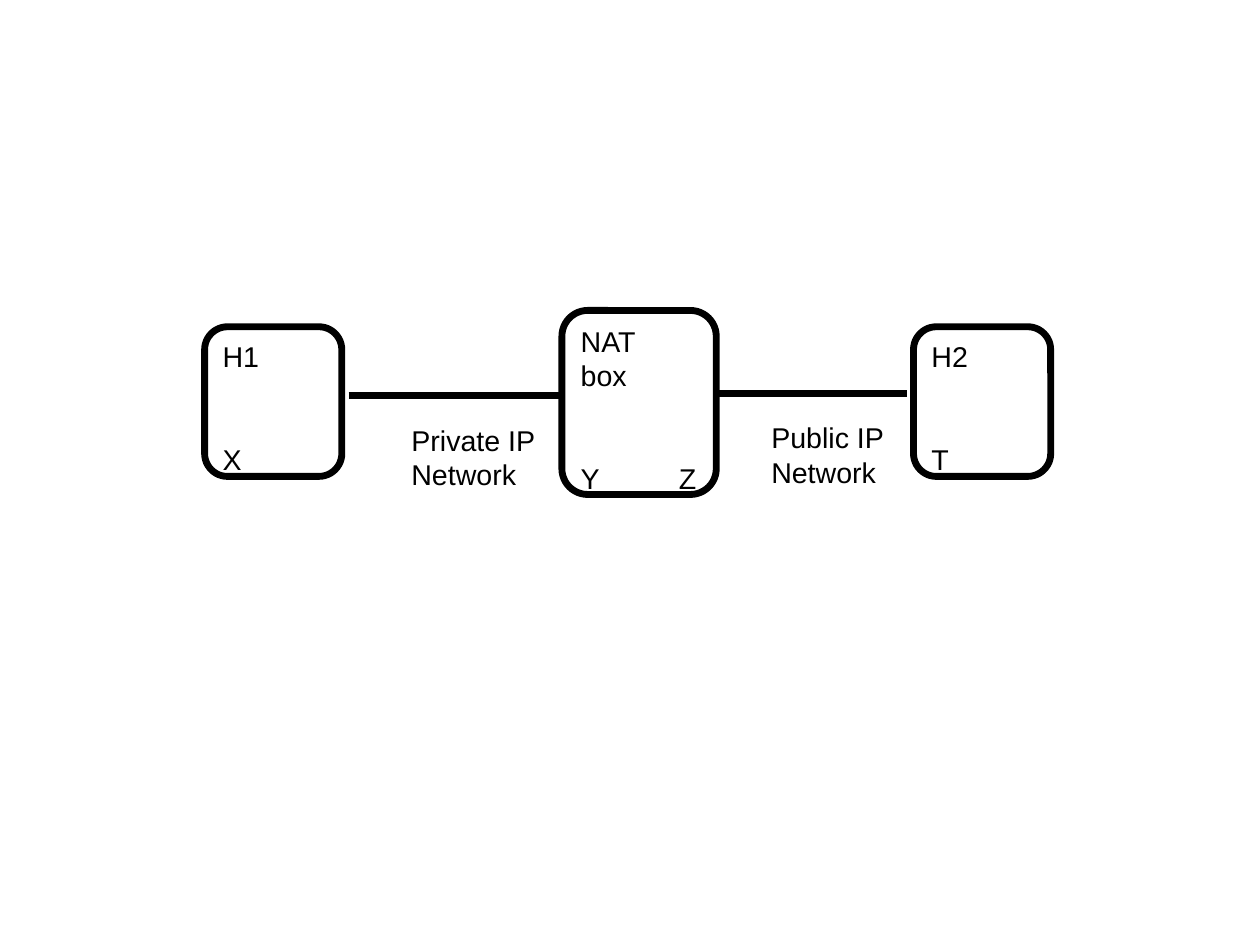
from lxml.etree import SubElement
from pptx import Presentation
from pptx.dml.color import RGBColor
from pptx.enum.shapes import MSO_CONNECTOR, MSO_SHAPE
from pptx.enum.text import MSO_ANCHOR, MSO_AUTO_SIZE, PP_ALIGN
from pptx.oxml.ns import qn
from pptx.util import Cm, Inches, Pt

BLACK = RGBColor(0, 0, 0)
WHITE = RGBColor(255, 255, 255)
FONT = "Arial"
SIZE = Pt(18)
STROKE = Pt(4.31)
DROP = Pt(43.2)
TAB = Inches(0.86)


def write(frame, text, drop=0, tab=None, wrap=True, fit=MSO_AUTO_SIZE.NONE):
    frame.word_wrap = wrap
    frame.auto_size = fit
    frame.vertical_anchor = MSO_ANCHOR.TOP
    lines = text.split("\n")
    for num, line in enumerate(lines):
        para = frame.paragraphs[0] if num == 0 else frame.add_paragraph()
        para.alignment = PP_ALIGN.LEFT
        if drop and num == len(lines) - 1:
            para.space_before = drop
        if tab and "\t" in line:
            stops = SubElement(para._p.get_or_add_pPr(), qn("a:tabLst"))
            SubElement(stops, qn("a:tab"), pos=str(tab), algn="l")
        run = para.add_run()
        run.text = line
        run.font.name = FONT
        run.font.size = SIZE
        run.font.color.rgb = BLACK


class Board:
    def __init__(self, deck):
        self.col = deck.slide_width / 100
        self.row = deck.slide_height / 100
        self.slide = deck.slides.add_slide(deck.slide_layouts[6])

    def place(self, left, top, width, height):
        return (round(left * self.col), round(top * self.row),
                round(width * self.col), round(height * self.row))

    def node(self, text, *area):
        shape = self.slide.shapes.add_shape(
            MSO_SHAPE.ROUNDED_RECTANGLE, *self.place(*area))
        shape.shadow.inherit = False
        shape.fill.solid()
        shape.fill.fore_color.rgb = WHITE
        shape.line.color.rgb = BLACK
        shape.line.width = STROKE
        write(shape.text_frame, text, drop=DROP, tab=TAB)

    def link(self, start, end, level):
        line = self.slide.shapes.add_connector(
            MSO_CONNECTOR.STRAIGHT, *self.place(start, level, end, level))
        line.line.color.rgb = BLACK
        line.line.width = STROKE
        SubElement(line._element.spPr, qn("a:effectLst"))

    def label(self, text, *area):
        box = self.slide.shapes.add_textbox(*self.place(*area))
        write(box.text_frame, text, wrap=False,
              fit=MSO_AUTO_SIZE.SHAPE_TO_FIT_TEXT)


def main():
    deck = Presentation()
    deck.slide_width = Cm(28)
    deck.slide_height = Cm(21)
    board = Board(deck)

    for text, left in (("H1\nX", 16.24), ("H2\nT", 72.5)):
        board.node(text, left, 34.58, 10.89, 15.84)
    board.node("NAT\nbox\nY\tZ", 44.6, 32.85, 12.25, 19.47)

    board.link(27.68, 44.74, 41.84)
    board.link(56.72, 71.96, 41.6)

    board.label("Private IP\nNetwork", 31.76, 44.14, 11.62, 11.37)
    board.label("Public IP\nNetwork", 60.32, 43.89, 10.75, 11.37)

    deck.save("out.pptx")


if __name__ == "__main__":
    main()
